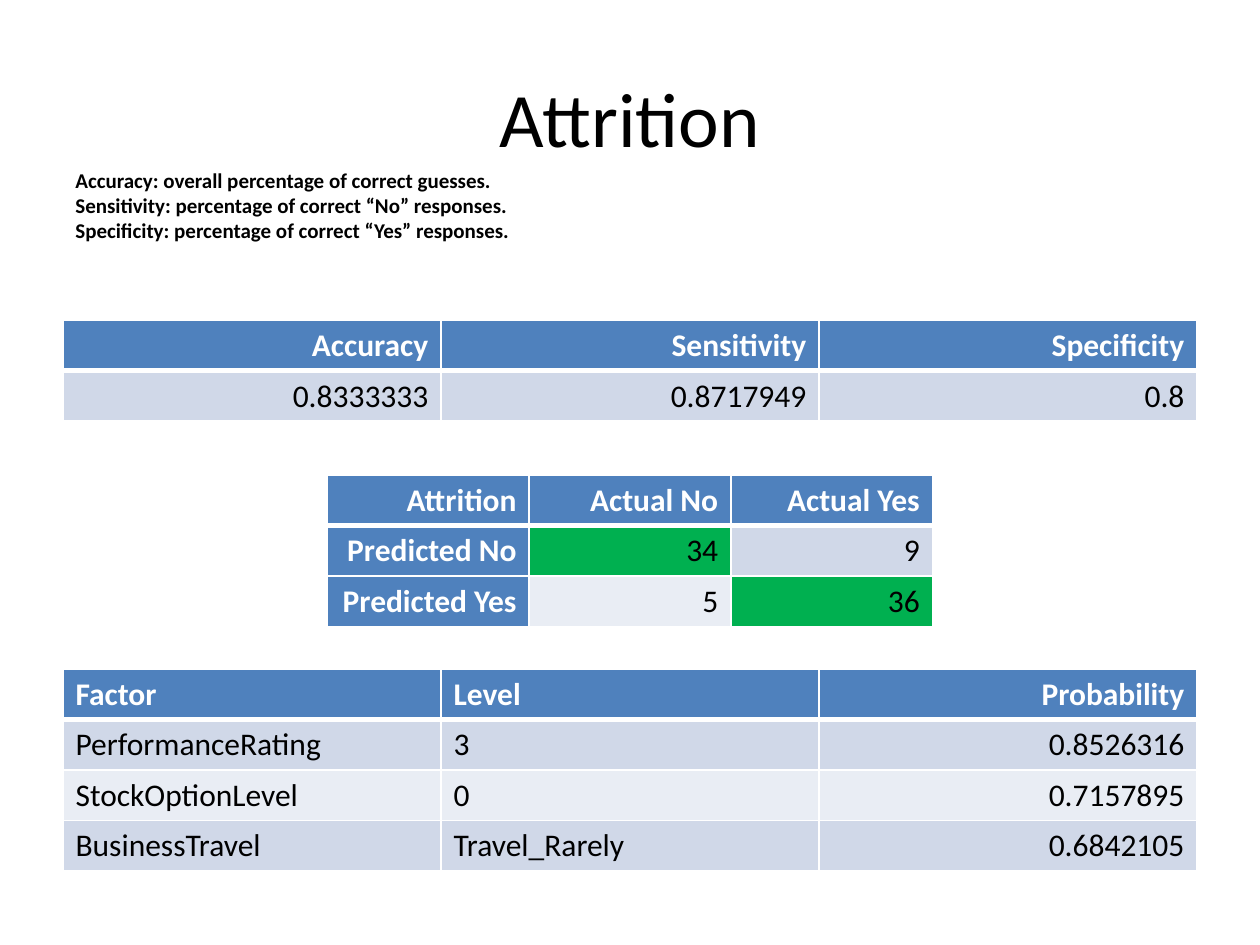
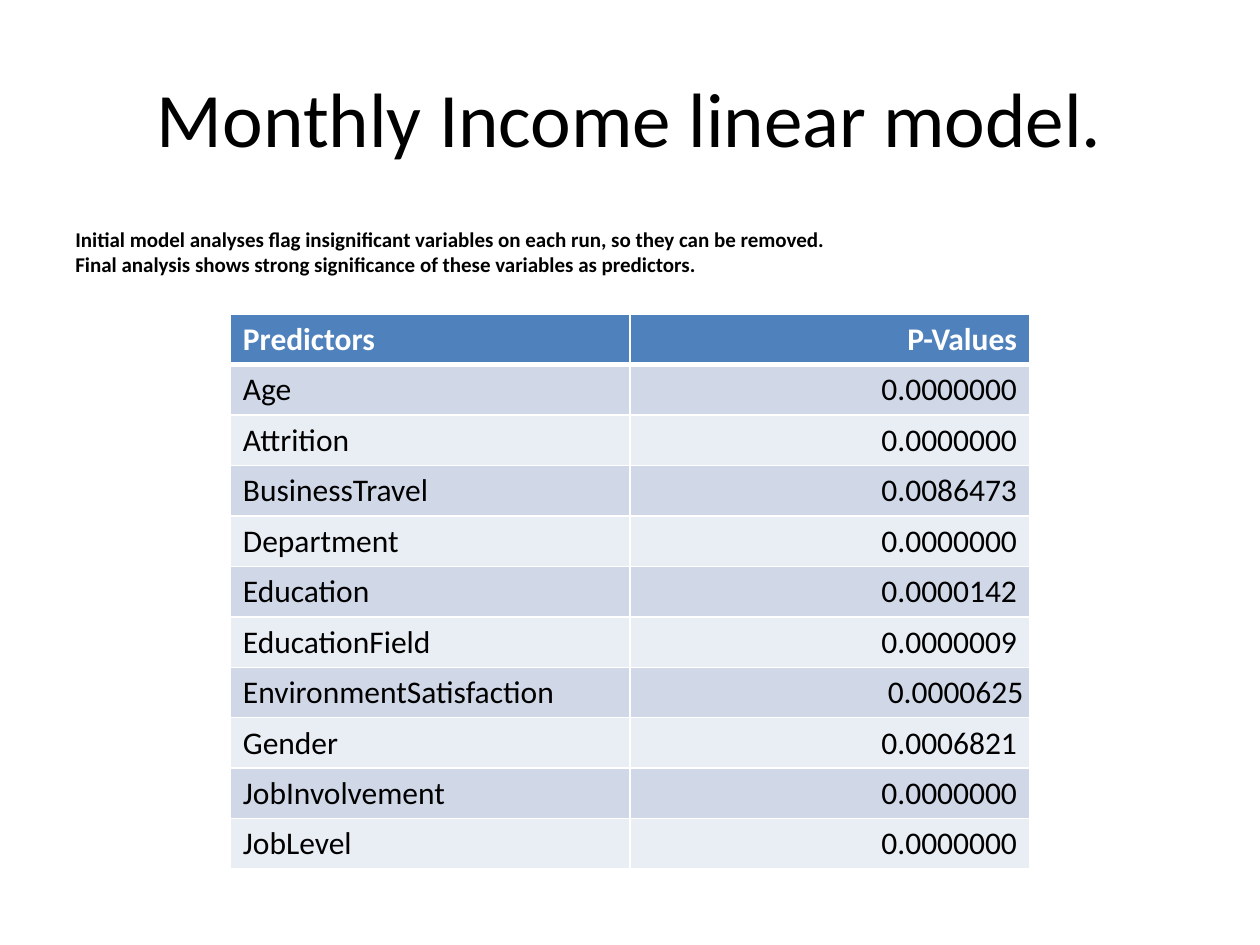
from lxml.etree import SubElement
from pptx import Presentation
from pptx.dml.color import RGBColor
from pptx.enum.text import MSO_ANCHOR as Anchor, PP_ALIGN as Align
from pptx.oxml.ns import qn
from pptx.util import Pt

COLORS = {
    "text": "000000",
    "white": "FFFFFF",
    "header": "4F81BD",
    "odd": "D0D8E8",
    "even": "E9EDF4",
    "correct": "00B050",
}
ALIGNS = {"l": Align.LEFT, "c": Align.CENTER, "r": Align.RIGHT}


class Report:
    font = "Calibri"
    margin = 36
    width = 648
    row_height = 28.8

    def __init__(self):
        self.deck = Presentation()
        self.deck.slide_width, self.deck.slide_height = Pt(720), Pt(540)
        self.page = None

    def new_page(self, title):
        self.page = self.deck.slides.add_slide(self.deck.slide_layouts[6])
        self.text([title], 21.6, 90, 44, align="c", anchor=Anchor.MIDDLE)

    def span(self, para, text, size, color="text", bold=False):
        span = para.add_run()
        span.text = text
        span.font.name = self.font
        span.font.size = Pt(size)
        span.font.bold = bold
        span.font.color.rgb = RGBColor.from_string(COLORS[color])

    def text(self, lines, top, height, size, bold=False, align="l", anchor=Anchor.TOP):
        box = self.page.shapes.add_textbox(Pt(self.margin), Pt(top), Pt(self.width), Pt(height))
        frame = box.text_frame
        frame.word_wrap = True
        frame.vertical_anchor = anchor
        para = frame.paragraphs[0]
        para.alignment = ALIGNS[align]
        for number, line in enumerate(lines):
            if number:
                para.add_line_break()
            self.span(para, line, size, bold=bold)

    def notes(self, lines, top):
        self.text(lines, top, 356.4, 12, bold=True)

    def borders(self, cell, row):
        properties = cell._tc.get_or_add_tcPr()
        widths = {"L": 1, "R": 1, "T": 3 if row == 1 else 1, "B": 3 if row == 0 else 1}
        for side, width in widths.items():
            line = SubElement(properties, qn(f"a:ln{side}"), w=str(Pt(width)))
            fill = SubElement(line, qn("a:solidFill"))
            SubElement(fill, qn("a:srgbClr"), val=COLORS["white"])

    def table(self, rows, top, aligns, width=width, row_headers=False, correct=()):
        columns = len(aligns)
        left = (720 - width) / 2
        frame = self.page.shapes.add_table(
            len(rows), columns, Pt(left), Pt(top), Pt(width), Pt(self.row_height * len(rows)))
        table = frame.table
        table.first_col = row_headers
        for column in table.columns:
            column.width = Pt(width / columns)
        for r, values in enumerate(rows):
            table.rows[r].height = Pt(self.row_height)
            for c, value in enumerate(values):
                heading = r == 0 or (row_headers and c == 0)
                band = "odd" if r % 2 else "even"
                shade = "header" if heading else "correct" if (r, c) in correct else band
                cell = table.cell(r, c)
                self.borders(cell, r)
                cell.fill.solid()
                cell.fill.fore_color.rgb = RGBColor.from_string(COLORS[shade])
                para = cell.text_frame.paragraphs[0]
                para.alignment = ALIGNS[aligns[c]]
                self.span(para, value, 18, "white" if heading else "text", heading)
        return table


report = Report()

report.new_page("Attrition")
report.notes([
    "Accuracy: overall percentage of correct guesses.",
    "Sensitivity: percentage of correct “No” responses.",
    "Specificity: percentage of correct “Yes” responses.",
], 92.16)
report.table([
    ("Accuracy", "Sensitivity", "Specificity"),
    ("0.8333333", "0.8717949", "0.8"),
], 183, "rrr")
report.table([
    ("Attrition", "Actual No", "Actual Yes"),
    ("Predicted No", "34", "9"),
    ("Predicted Yes", "5", "36"),
], 271.5, "rrr", width=345.6, row_headers=True, correct={(1, 1), (2, 2)})
report.table([
    ("Factor", "Level", "Probability"),
    ("PerformanceRating", "3", "0.8526316"),
    ("StockOptionLevel", "0", "0.7157895"),
    ("BusinessTravel", "Travel_Rarely", "0.6842105"),
], 382.4, "llr")

report.new_page("Monthly Income linear model.")
report.notes([
    "Initial model analyses flag insignificant variables on each run, so they can be removed.",
    "Final analysis shows strong significance of these variables as predictors.",
], 126)
predictors = [
    ("Predictors", "P-Values"),
    ("Age", "0.0000000"),
    ("Attrition", "0.0000000"),
    ("BusinessTravel", "0.0086473"),
    ("Department", "0.0000000"),
    ("Education", "0.0000142"),
    ("EducationField", "0.0000009"),
    ("EnvironmentSatisfaction", "0.0000625"),
    ("Gender", "0.0006821"),
    ("JobInvolvement", "0.0000000"),
    ("JobLevel", "0.0000000"),
]
table = report.table(predictors, 179.5, "lr", width=456.8)
satisfaction = table.cell(7, 1)
satisfaction.margin_left = satisfaction.margin_right = Pt(3.6)

report.deck.save("out.pptx")
